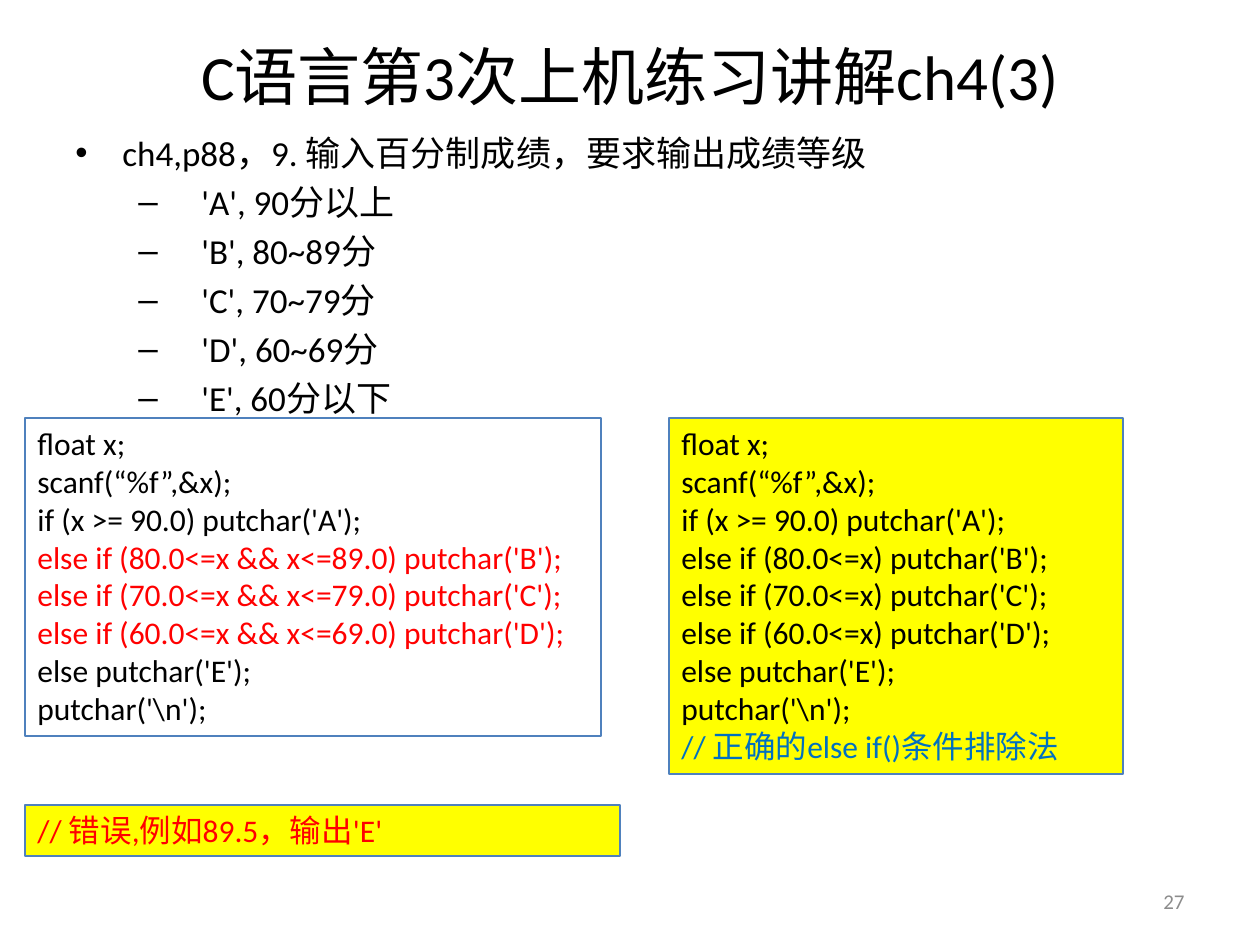
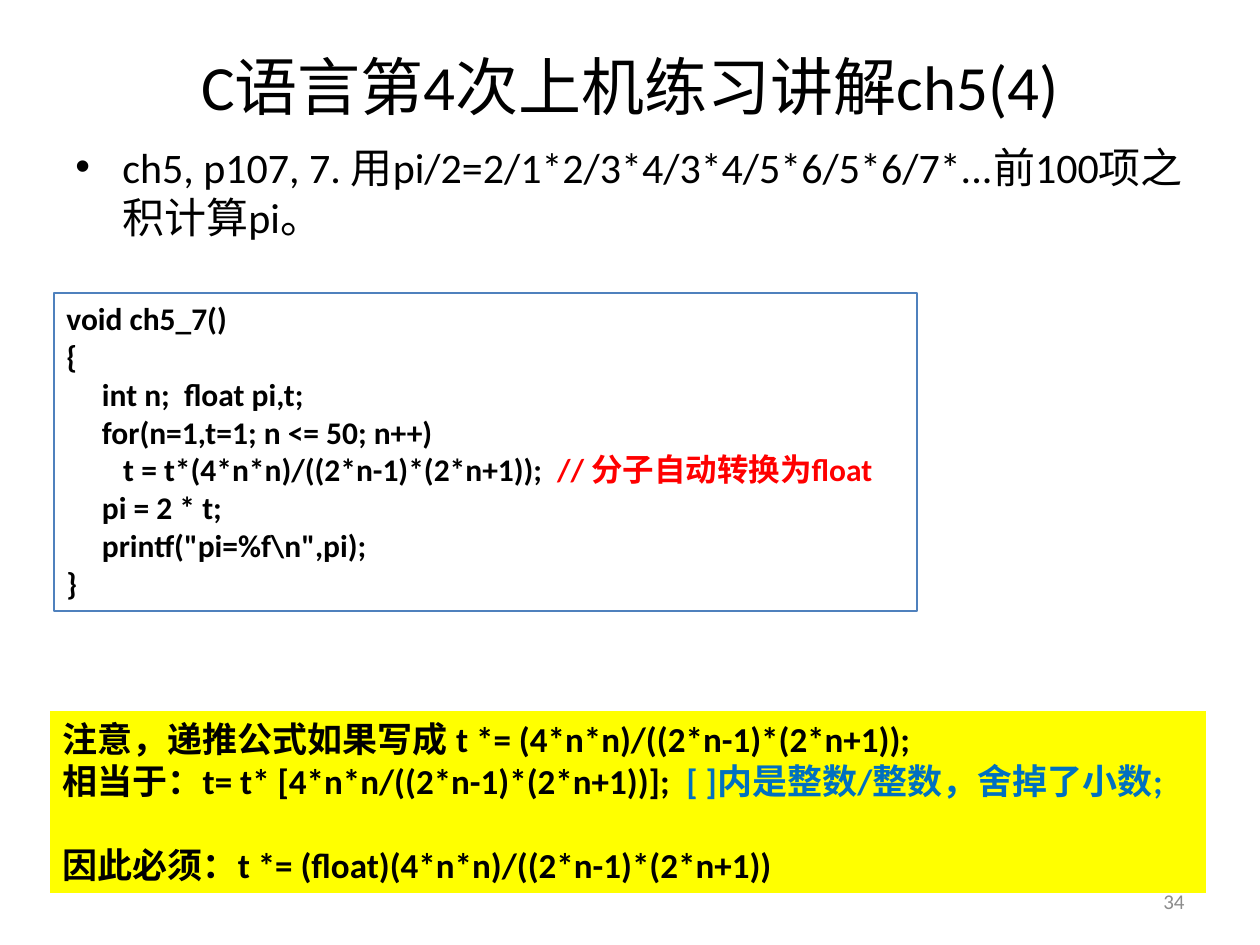
import dataclasses

import pptx
import pptx.dml.color
import pptx.enum.text
import pptx.oxml
import pptx.oxml.ns
import pptx.util

EMU_PER_PX = 914400 / 126
ALIGN = pptx.enum.text.PP_ALIGN
ANCHOR = pptx.enum.text.MSO_ANCHOR


@dataclasses.dataclass(frozen=True)
class Theme:
    font: str = "Calibri"
    ink: str = "000000"
    wrong: str = "FF0000"
    remark: str = "0070C0"
    highlight: str = "FFFF00"
    border: str = "4F81BD"
    muted: str = "8C8C8C"
    title_size: int = 36
    task_size: int = 24
    text_size: int = 20
    code_size: int = 18
    number_size: int = 12


THEME = Theme()


def px(length):
    return round(length * EMU_PER_PX)


def rgb(value):
    return pptx.dml.color.RGBColor.from_string(value)


def set_attributes(target, values):
    for name, value in values.items():
        setattr(target, name, value)


def place(shape, left, top, width, height):
    set_attributes(shape, {"left": px(left), "top": px(top), "width": px(width), "height": px(height)})


def lines(color, *texts):
    return [[(text, color)] for text in texts]


def add_runs(paragraph, runs, size, bold=False):
    for text, color in runs:
        run = paragraph.add_run()
        run.text = text
        set_attributes(run.font, {"name": THEME.font, "size": pptx.util.Pt(size), "bold": bold})
        run.font.color.rgb = rgb(color)


def add_title(slide, text, top):
    title = slide.shapes.title
    place(title, 63, top, 1134, 158)
    title.text_frame.vertical_anchor = ANCHOR.MIDDLE
    paragraph = title.text_frame.paragraphs[0]
    paragraph.alignment = ALIGN.CENTER
    add_runs(paragraph, [(text, THEME.ink)], THEME.title_size)


def add_text(slide, bounds, content, size, bold=False, fill=None, border=None):
    box = slide.shapes.add_textbox(*map(px, bounds))
    box.text_frame.word_wrap = True
    if fill:
        box.fill.solid()
        box.fill.fore_color.rgb = rgb(fill)
    if border:
        box.line.color.rgb = rgb(border)
        box.line.width = pptx.util.Pt(0.75)
    frame = box.text_frame
    for index, runs in enumerate(content):
        paragraph = frame.add_paragraph() if index else frame.paragraphs[0]
        add_runs(paragraph, runs, size, bold)
    return frame


def set_bullet(paragraph, character, margin, hanging):
    properties = paragraph._p.get_or_add_pPr()
    properties.set("marL", str(px(margin)))
    properties.set("indent", str(-px(hanging)))
    namespace = pptx.oxml.ns.nsdecls("a")
    for element in (f'<a:buFont {namespace} typeface="Arial"/>', f'<a:buChar {namespace} char="{character}"/>'):
        properties.append(pptx.oxml.parse_xml(element))


def add_task(slide, bounds, task, size, details=()):
    frame = add_text(slide, bounds, lines(THEME.ink, task, *details), size)
    first, *rest = frame.paragraphs
    set_bullet(first, "•", 47, 47)
    for paragraph in rest:
        set_bullet(paragraph, "–", 126, 63)
        paragraph.space_before = pptx.util.Pt(4)


def add_code(slide, bounds, content, bold=False, fill=None):
    add_text(slide, bounds, content, THEME.code_size, bold, fill, THEME.border)


def add_number(slide, number):
    frame = add_text(slide, (903, 876, 294, 50), lines(THEME.muted, number), THEME.number_size)
    frame.vertical_anchor = ANCHOR.MIDDLE
    frame.paragraphs[0].alignment = ALIGN.RIGHT


def grade_program(conditions, color):
    branches = [f"else if ({condition}) putchar('{grade}');" for grade, condition in zip("BCD", conditions)]
    return (
        lines(THEME.ink, "float x;", "scanf(“%f”,&x);", "if (x >= 90.0) putchar('A');")
        + lines(color, *branches)
        + lines(THEME.ink, "else putchar('E');", "putchar('\\n');")
    )


def build_grades(slide):
    add_title(slide, "C语言第3次上机练习讲解ch4(3)", -4)
    details = ["'A', 90分以上", "'B', 80~89分", "'C', 70~79分", "'D', 60~69分", "'E', 60分以下"]
    add_task(slide, (63, 125, 1134, 301), "ch4,p88，9. 输入百分制成绩，要求输出成绩等级", THEME.text_size, details)
    floors = (80, 70, 60)
    ranges = [f"{floor}.0<=x && x<={floor + 9}.0" for floor in floors]
    add_code(slide, (25, 418, 576, 318), grade_program(ranges, THEME.wrong))
    add_code(slide, (25, 805, 595, 51), lines(THEME.wrong, "// 错误,例如89.5，输出'E'"), fill=THEME.highlight)
    correct = grade_program([f"{floor}.0<=x" for floor in floors], THEME.ink)
    correct += lines(THEME.remark, "// 正确的else if()条件排除法")
    add_code(slide, (669, 418, 454, 356), correct, fill=THEME.highlight)
    add_number(slide, "27")


def build_pi(slide):
    add_title(slide, "C语言第4次上机练习讲解ch5(4)", 6)
    task = "ch5, p107, 7. 用pi/2=2/1*2/3*4/3*4/5*6/5*6/7*...前100项之积计算pi。"
    add_task(slide, (63, 135, 1153, 125), task, THEME.task_size)
    program = lines(
        THEME.ink,
        "void ch5_7()",
        "{",
        "     int n;  float pi,t;",
        "     for(n=1,t=1; n <= 50; n++)",
        "        t = t*(4*n*n)/((2*n-1)*(2*n+1));  ",
        "     pi = 2 * t;",
        '     printf("pi=%f\\n",pi);',
        "}",
    )
    program[4].append(("// 分子自动转换为float", THEME.wrong))
    add_code(slide, (54, 293, 863, 318), program, bold=True)
    note = lines(
        THEME.ink,
        "注意，递推公式如果写成 t *= (4*n*n)/((2*n-1)*(2*n+1));",
        "相当于：t= t* [4*n*n/((2*n-1)*(2*n+1))];  ",
        "因此必须：t *= (float)(4*n*n)/((2*n-1)*(2*n+1))",
    )
    note[1].append(("[ ]内是整数/整数，舍掉了小数;", THEME.remark))
    frame = add_text(slide, (50, 711, 1156, 182), note, THEME.text_size, bold=True, fill=THEME.highlight)
    frame.margin_right = 0
    frame.paragraphs[2].space_before = pptx.util.Pt(24)
    add_number(slide, "34")


def main():
    presentation = pptx.Presentation()
    set_attributes(presentation, {"slide_width": px(1260), "slide_height": px(945)})
    for build in (build_grades, build_pi):
        build(presentation.slides.add_slide(presentation.slide_layouts[5]))
    presentation.save("out.pptx")


if __name__ == "__main__":
    main()
